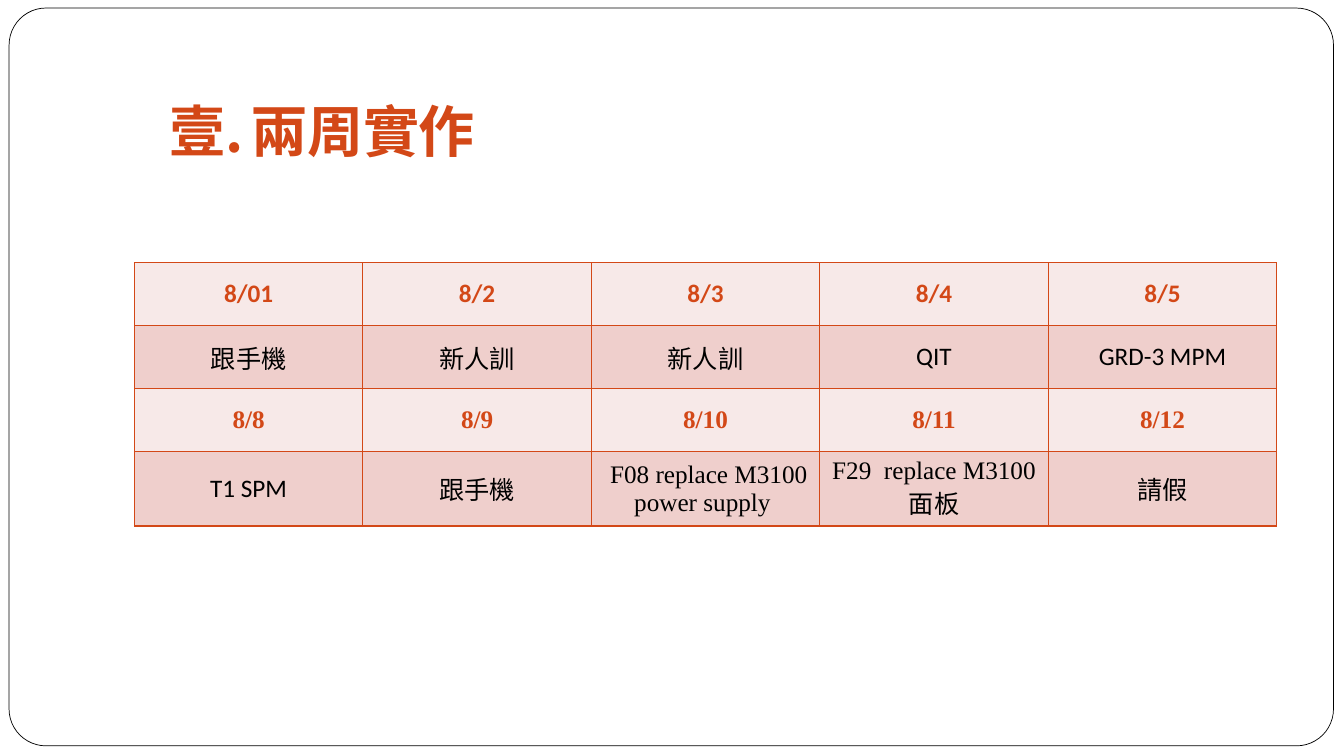
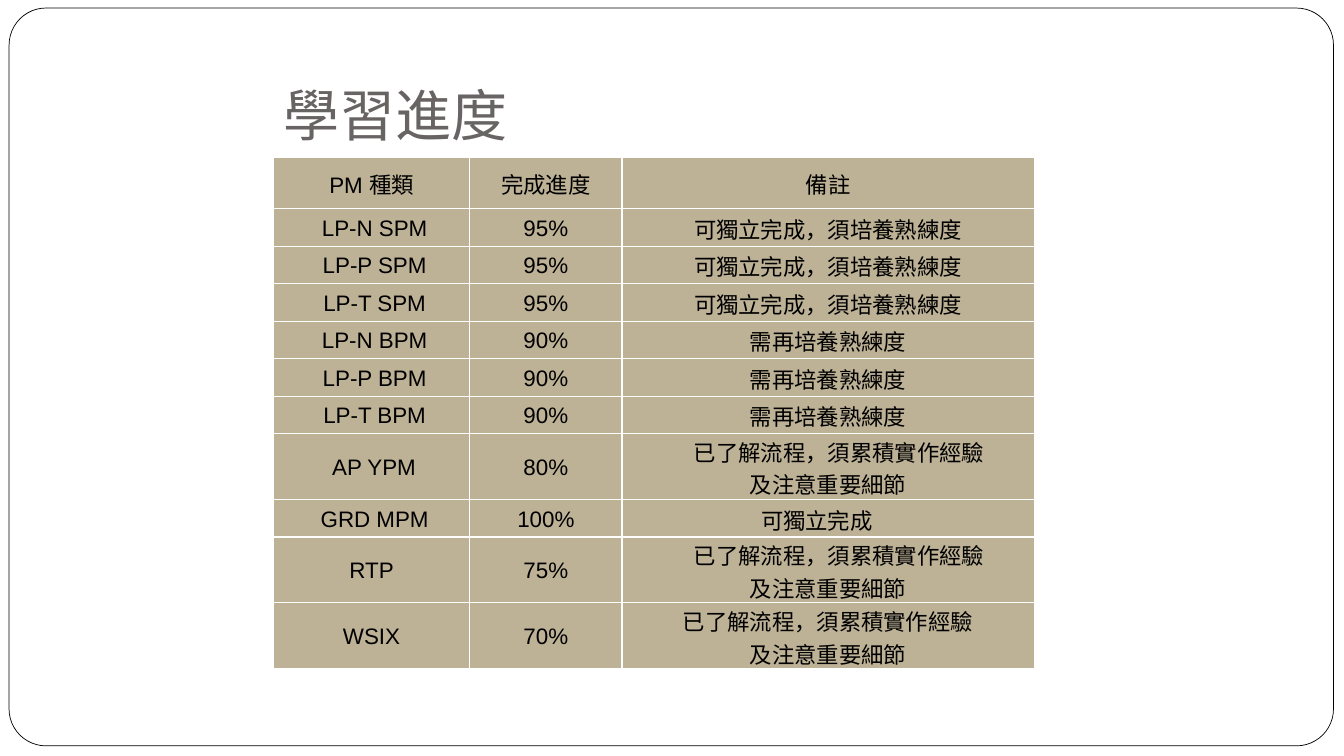
from lxml import etree
from pptx import Presentation
from pptx.dml.color import RGBColor
from pptx.enum.shapes import MSO_SHAPE as Shape
from pptx.enum.text import MSO_ANCHOR as Anchor, MSO_AUTO_SIZE as AutoSize, PP_ALIGN as Align
from pptx.oxml.ns import qn
from pptx.util import Pt

WHITE = RGBColor(0xFF, 0xFF, 0xFF)
BLACK = RGBColor(0x00, 0x00, 0x00)
ORANGE = RGBColor(0xD3, 0x48, 0x17)
GRAY = RGBColor(0x69, 0x64, 0x64)
PALE_PINK = RGBColor(0xF7, 0xE9, 0xE8)
PINK = RGBColor(0xEF, 0xCF, 0xCC)
TAN = RGBColor(0xBD, 0xB1, 0x96)
SANS, SERIF, PLAIN, HEADING = "Calibri", "Times New Roman", "Arial", "Cabin"

SCHEDULE = [
    ["8/01", "8/2", "8/3", "8/4", "8/5"],
    ["跟手機", "新人訓", "新人訓", "QIT", "GRD-3 MPM"],
    ["8/8", "8/9", "8/10", "8/11", "8/12"],
    ["T1 SPM", "跟手機", " F08 replace M3100 power supply ", "F29  replace M3100 面板", "請假"],
]
SERIF_CELLS = {(2, column) for column in range(5)} | {(3, 2), (3, 3)}

SKILLED = "可獨立完成，須培養熟練度"
PRACTICE = "需再培養熟練度"
EXPERIENCE = "已了解流程，須累積實作經驗\n及注意重要細節"
PROGRESS = [
    ["PM 種類", "完成進度", "備註"],
    [" LP-N SPM", "95%", SKILLED],
    [" LP-P SPM", "95%", SKILLED],
    [" LP-T SPM", "95%", SKILLED],
    [" LP-N BPM", "90%", PRACTICE],
    [" LP-P BPM", "90%", PRACTICE],
    [" LP-T BPM", "90%", PRACTICE],
    [" AP YPM", "80%", "　" + EXPERIENCE],
    [" GRD MPM", "100%", "可獨立完成　"],
    ["RTP", "75%", "　" + EXPERIENCE],
    ["WSIX", "70%", EXPERIENCE],
]


def style_font(font, name, size, color, bold=False):
    font.name = name
    font.size = Pt(size)
    font.color.rgb = color
    font.bold = bold


def add_page(deck):
    page = deck.slides.add_slide(deck.slide_layouts[6])
    frame = page.shapes.add_shape(Shape.ROUNDED_RECTANGLE, Pt(6.5), Pt(5.75), Pt(946), Pt(527))
    frame.shadow.inherit = False
    frame.adjustments[0] = 0.05
    frame.fill.solid()
    frame.fill.fore_color.rgb = WHITE
    frame.line.color.rgb = BLACK
    frame.line.width = Pt(0.5)
    return page


def add_title(page, left, top, width, height, text):
    box = page.shapes.add_textbox(Pt(left), Pt(top), Pt(width), Pt(height))
    box.text_frame.text = text
    return box.text_frame


def number_paragraph(para, indent):
    properties = para._p.get_or_add_pPr()
    properties.set("marL", str(Pt(indent)))
    properties.set("indent", str(-Pt(indent)))
    etree.SubElement(properties, qn("a:buFont"), typeface="+mj-lt")
    etree.SubElement(properties, qn("a:buAutoNum"), type="ea1ChtPeriod")


def set_borders(cell, color):
    properties = cell._tc.get_or_add_tcPr()
    for side in ("lnL", "lnR", "lnT", "lnB"):
        line = etree.SubElement(properties, qn("a:" + side), w=str(Pt(1)))
        fill = etree.SubElement(line, qn("a:solidFill"))
        etree.SubElement(fill, qn("a:srgbClr"), val=str(color))


def add_grid(page, left, top, widths, heights, rows, border, style_cell):
    table = page.shapes.add_table(
        len(rows), len(widths), Pt(left), Pt(top), Pt(sum(widths)), Pt(sum(heights))
    ).table
    table.first_row = table.horz_banding = False
    for column, width in zip(table.columns, widths):
        column.width = Pt(width)
    for row_index, (row, height) in enumerate(zip(rows, heights)):
        table.rows[row_index].height = Pt(height)
        for column_index, text in enumerate(row):
            cell = table.cell(row_index, column_index)
            cell.text = text
            cell.vertical_anchor = Anchor.MIDDLE
            set_borders(cell, border)
            fill, font_style = style_cell(cell, row_index, column_index)
            cell.fill.solid()
            cell.fill.fore_color.rgb = fill
            for para in cell.text_frame.paragraphs:
                para.alignment = Align.CENTER
                style_font(para.font, *font_style)


def style_schedule(cell, row, column):
    name = SERIF if (row, column) in SERIF_CELLS else SANS
    if row % 2 == 0:
        return PALE_PINK, (name, 18, ORANGE, True)
    return PINK, (name, 18, BLACK)


def style_progress(cell, row, column):
    cell.margin_left = cell.margin_right = cell.margin_top = Pt(1.5)
    cell.margin_bottom = 0
    return TAN, (PLAIN, 16, BLACK)


def build_schedule(deck):
    page = add_page(deck)
    add_grid(page, 96, 187.6, [163.2] * 5, [45] * 4, SCHEDULE, ORANGE, style_schedule)
    title = add_title(page, 112.3, 65.5, 235.5, 55.5, "兩周實作")
    title.word_wrap = False
    title.auto_size = AutoSize.SHAPE_TO_FIT_TEXT
    para = title.paragraphs[0]
    number_paragraph(para, 58.5)
    para.alignment = Align.CENTER
    style_font(para.font, PLAIN, 40, ORANGE, True)
    style_font(para.runs[0].font, PLAIN, 40, ORANGE, True)


def build_progress(deck):
    page = add_page(deck)
    left, top, title_height = 195.3, 112.5, 58.5
    title = add_title(page, left, top - title_height, 182, title_height, "學習進度")
    title.word_wrap = True
    title.vertical_anchor = Anchor.BOTTOM
    title.margin_bottom = Pt(7.2)
    style_font(title.paragraphs[0].font, HEADING, 40, GRAY)
    heights = [36.6] + [47 if "\n" in row[2] else 26.8 for row in PROGRESS[1:]]
    add_grid(page, left, top, [140.2, 108.8, 294.4], heights, PROGRESS, WHITE, style_progress)


def main():
    deck = Presentation()
    deck.slide_width, deck.slide_height = Pt(960), Pt(540)
    build_schedule(deck)
    build_progress(deck)
    deck.save("out.pptx")


if __name__ == "__main__":
    main()
